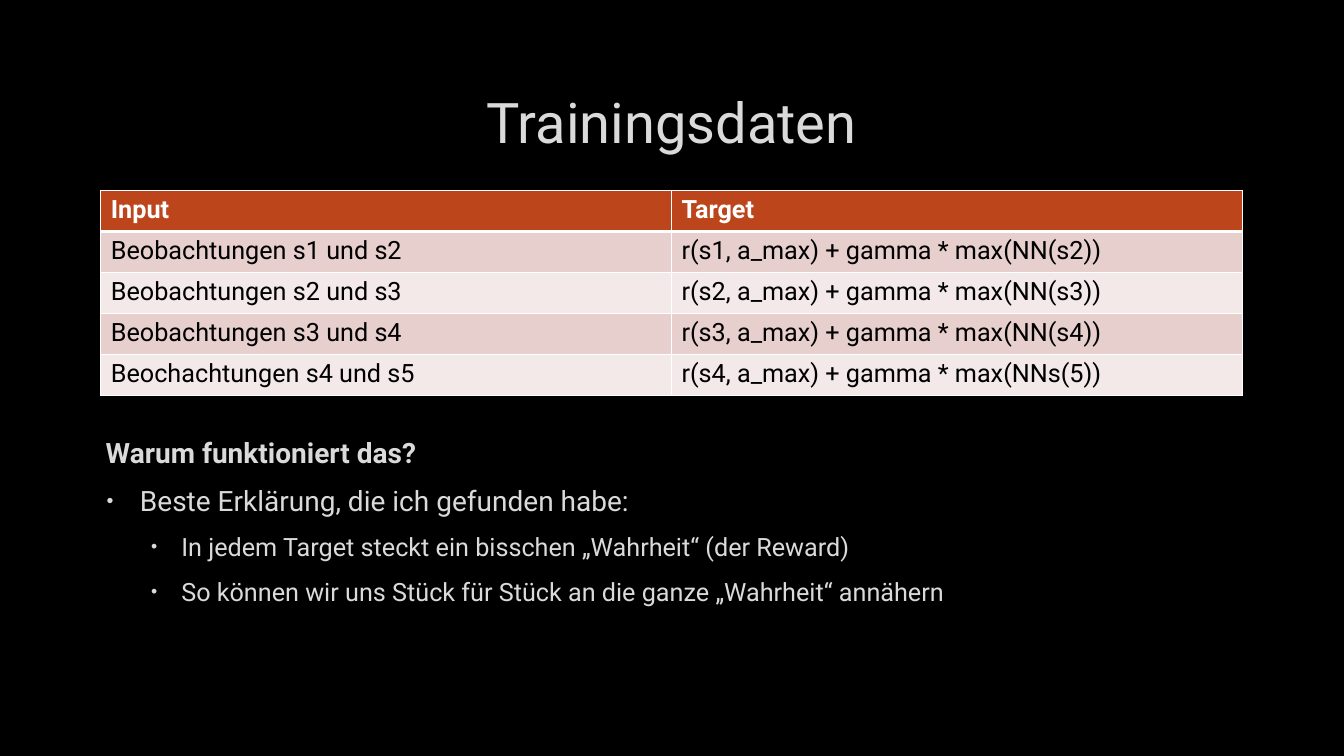
from pptx import Presentation
from pptx.dml.color import RGBColor
from pptx.enum.text import MSO_ANCHOR, PP_ALIGN
from pptx.oxml.ns import qn
from pptx.util import Inches, Pt
from lxml import etree

MIDDLE = MSO_ANCHOR.MIDDLE
TOP = MSO_ANCHOR.TOP
CENTER = PP_ALIGN.CENTER

FONT = "Roboto"
BLACK, WHITE, LIGHT = "000000", "FFFFFF", "DADADA"
HEADER_FILL = "BC451B"
BAND_FILLS = ["E7CFCD", "F3E9E8"]

TRAINING_ROWS = [
    ("Input", "Target"),
    ("Beobachtungen s1 und s2", "r(s1, a_max) + gamma * max(NN(s2))"),
    ("Beobachtungen s2 und s3", "r(s2, a_max) + gamma * max(NN(s3))"),
    ("Beobachtungen s3 und s4", "r(s3, a_max) + gamma * max(NN(s4))"),
    ("Beochachtungen s4 und s5", "r(s4, a_max) + gamma * max(NNs(5))"),
]
# text, size, level, left margin, first-line indent
EXPLANATION = [
    ("Warum funktioniert das?", 20, 0, 0.04, 0),
    ("Beste Erklärung, die ich gefunden habe:", 20, 0, 0.38, -0.33),
    ("In jedem Target steckt ein bisschen „Wahrheit“ (der Reward)", 18, 1, 0.79, -0.3),
    ("So können wir uns Stück für Stück an die ganze „Wahrheit“ annähern", 18, 1, 0.79, -0.3),
]


def rgb(color):
    return RGBColor.from_string(color)


def add_run(paragraph, text, size, color, bold=False):
    run = paragraph.add_run()
    run.text = text
    run.font.name = FONT
    run.font.size = Pt(size)
    run.font.bold = bold
    run.font.color.rgb = rgb(color)


def add_frame(slide, left, top, width, height, anchor):
    box = slide.shapes.add_textbox(Inches(left), Inches(top), Inches(width), Inches(height))
    box.text_frame.word_wrap = True
    box.text_frame.vertical_anchor = anchor
    return box.text_frame


def add_bullet(paragraph):
    properties = paragraph._p.get_or_add_pPr()
    color = etree.SubElement(properties, qn("a:buClr"))
    etree.SubElement(color, qn("a:srgbClr"), val=LIGHT)
    etree.SubElement(properties, qn("a:buSzPct"), val="70000")
    etree.SubElement(properties, qn("a:buFont"), typeface="Arial")
    etree.SubElement(properties, qn("a:buChar"), char="•")


def add_border(cell, side, width):
    line = etree.SubElement(cell._tc.get_or_add_tcPr(), qn(f"a:ln{side}"), w=str(Pt(width)))
    fill = etree.SubElement(line, qn("a:solidFill"))
    etree.SubElement(fill, qn("a:srgbClr"), val=WHITE)


def add_title(slide, left, top, width, height):
    paragraph = add_frame(slide, left, top, width, height, MIDDLE).paragraphs[0]
    paragraph.alignment = CENTER
    add_run(paragraph, "Trainingsdaten", 40, LIGHT)


def add_training_table(slide, left, top, width, height):
    table = slide.shapes.add_table(
        len(TRAINING_ROWS), len(TRAINING_ROWS[0]),
        Inches(left), Inches(top), Inches(width), Inches(height)).table
    for row, texts in enumerate(TRAINING_ROWS):
        is_header = row == 0
        for column, text in enumerate(texts):
            cell = table.cell(row, column)
            # The rule under the header is thicker and shared with the first data row
            widths = {"L": 1, "R": 1, "T": 3 if row == 1 else 1, "B": 3 if is_header else 1}
            for side, line_width in widths.items():
                add_border(cell, side, line_width)
            cell.fill.solid()
            cell.fill.fore_color.rgb = rgb(HEADER_FILL if is_header else BAND_FILLS[(row - 1) % 2])
            add_run(cell.text_frame.paragraphs[0], text, 18,
                    WHITE if is_header else BLACK, is_header)


def add_explanation(slide, left, top, width, height):
    frame = add_frame(slide, left, top, width, height, TOP)
    for index, (text, size, level, margin, indent) in enumerate(EXPLANATION):
        is_heading = index == 0
        paragraph = frame.paragraphs[0] if is_heading else frame.add_paragraph()
        paragraph.level = level
        properties = paragraph._p.get_or_add_pPr()
        properties.set("marL", str(Inches(margin)))
        properties.set("indent", str(Inches(indent)))
        paragraph.space_after = Pt(6)
        if not is_heading:
            paragraph.space_before = Pt(round(size * 0.23, 1))
            add_bullet(paragraph)
        add_run(paragraph, text, size, LIGHT, is_heading)


def main():
    presentation = Presentation()
    presentation.slide_width = Inches(13.33)
    presentation.slide_height = Inches(7.5)
    slide = presentation.slides.add_slide(presentation.slide_layouts[6])
    slide.background.fill.solid()
    slide.background.fill.fore_color.rgb = rgb(BLACK)
    add_title(slide, 1, 0.67, 11.32, 1.06)
    add_training_table(slide, 1, 1.89, 11.32, 2.03)
    add_explanation(slide, 0.91, 4.27, 11.32, 2.81)
    presentation.save("out.pptx")


if __name__ == "__main__":
    main()
